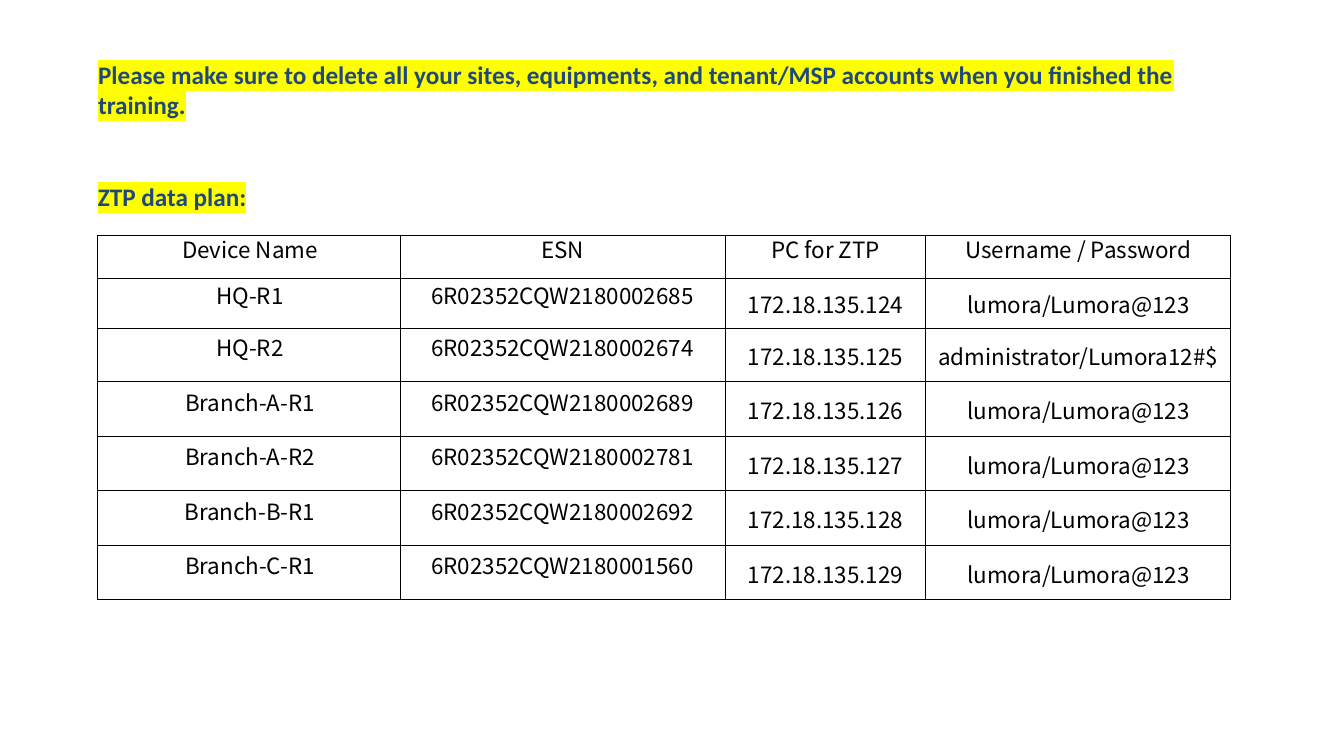
from lxml import etree
from pptx import Presentation
from pptx.dml.color import RGBColor
from pptx.enum.text import MSO_ANCHOR, MSO_AUTO_SIZE, PP_ALIGN
from pptx.oxml.ns import qn
from pptx.util import Pt

TOP, MIDDLE = MSO_ANCHOR.TOP, MSO_ANCHOR.MIDDLE
LEFT, CENTER = PP_ALIGN.LEFT, PP_ALIGN.CENTER
GROW = MSO_AUTO_SIZE.SHAPE_TO_FIT_TEXT

NOTICE = ("Please make sure to delete all your sites, equipments, and tenant/MSP "
          "accounts when you finished the training.")
HEADING = "ZTP data plan:"
LOGIN = "lumora/Lumora@123"
DEVICES = [
    ("Device Name", "ESN", "PC for ZTP", "Username / Password"),
    ("HQ-R1", "6R02352CQW2180002685", "172.18.135.124", LOGIN),
    ("HQ-R2", "6R02352CQW2180002674", "172.18.135.125", "administrator/Lumora12#$"),
    ("Branch-A-R1", "6R02352CQW2180002689", "172.18.135.126", LOGIN),
    ("Branch-A-R2", "6R02352CQW2180002781", "172.18.135.127", LOGIN),
    ("Branch-B-R1", "6R02352CQW2180002692", "172.18.135.128", LOGIN),
    ("Branch-C-R1", "6R02352CQW2180001560", "172.18.135.129", LOGIN),
]

SLIDE_SIZE = (1344, 756)
NOTICE_BOX = (88, 54, 1143, 72)
HEADING_BOX = (88, 176, 170, 40)
TABLE_AT = (97, 235)
COL_WIDTHS = [303, 325, 201, 305]
ROW_HEIGHTS = [43, 50, 54, 55, 54, 55, 54]
BLUE, YELLOW, BLACK = "1F497D", "FFFF00", "000000"


def px(n):
    return round(n * 914400 / 100.8)


def style_run(r, size, font, color):
    r.font.size = Pt(size)
    r.font.name = font
    r.font.color.rgb = RGBColor.from_string(color)


def add_solid_fill(parent, tag, color):
    """Append a:tag holding an srgbClr."""
    holder = etree.SubElement(parent, qn(tag))
    etree.SubElement(holder, qn("a:srgbClr")).set("val", color)
    return holder


def write_highlighted(shape, text, box, wrap):
    shape.left, shape.top, shape.width, shape.height = map(px, box)
    tf = shape.text_frame
    tf.text = text
    tf.word_wrap = wrap
    tf.auto_size = GROW
    tf.vertical_anchor = TOP
    p = tf.paragraphs[0]
    p.alignment = LEFT
    r = p.runs[0]
    style_run(r, 18, "Calibri", BLUE)
    r.font.bold = True
    rPr = r.font._element
    highlight = add_solid_fill(rPr, "a:highlight", YELLOW)
    rPr.find(qn("a:solidFill")).addnext(highlight)


def add_borders(cell):
    tcPr = cell._tc.get_or_add_tcPr()
    for side in ("a:lnL", "a:lnR", "a:lnT", "a:lnB"):
        line = etree.SubElement(tcPr, qn(side))
        line.set("w", str(Pt(0.75)))
        add_solid_fill(line, "a:solidFill", BLACK)


def fill_cell(cell, text, row, col):
    add_borders(cell)
    cell.fill.background()
    cell.vertical_anchor = MIDDLE
    cell.text = text
    p = cell.text_frame.paragraphs[0]
    p.alignment = CENTER
    style_run(p.runs[0], 16, "Noto Sans CJK SC", BLACK)
    tight = row == 0 or col < 2
    cell.margin_left = cell.margin_right = px(7 if tight else 1)
    cell.margin_top = px(0 if tight else 1)
    cell.margin_bottom = 0
    if tight:
        p.line_spacing = Pt(12)
        p.space_before = p.space_after = Pt(4)
    if col == 0:
        p._p.get_or_add_pPr().set("indent", str(px(3)))


def add_device_table(s):
    frame = s.shapes.add_table(len(DEVICES), len(COL_WIDTHS), *map(px, TABLE_AT),
                               px(sum(COL_WIDTHS)), px(sum(ROW_HEIGHTS)))
    table = frame.table
    table.first_row = table.horz_banding = False
    for column, width in zip(table.columns, COL_WIDTHS):
        column.width = px(width)
    for i, (height, values) in enumerate(zip(ROW_HEIGHTS, DEVICES)):
        table.rows[i].height = px(height)
        for j, text in enumerate(values):
            fill_cell(table.cell(i, j), text, i, j)


def main():
    prs = Presentation()
    prs.slide_width, prs.slide_height = map(px, SLIDE_SIZE)
    s = prs.slides.add_slide(prs.slide_layouts.get_by_name("Title Only"))
    add_device_table(s)
    heading = s.shapes.add_textbox(*map(px, HEADING_BOX))
    write_highlighted(heading, HEADING, HEADING_BOX, wrap=False)
    write_highlighted(s.shapes.title, NOTICE, NOTICE_BOX, wrap=True)
    prs.save("out.pptx")


if __name__ == "__main__":
    main()
